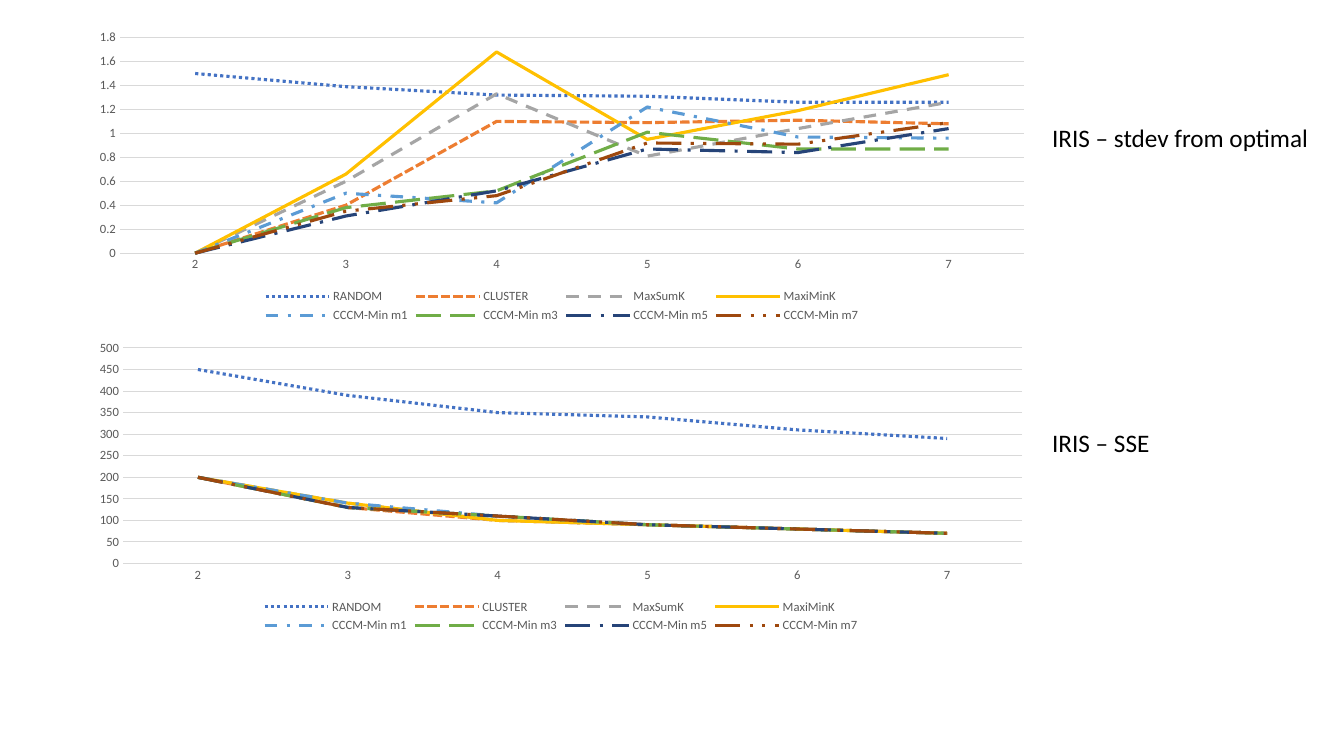
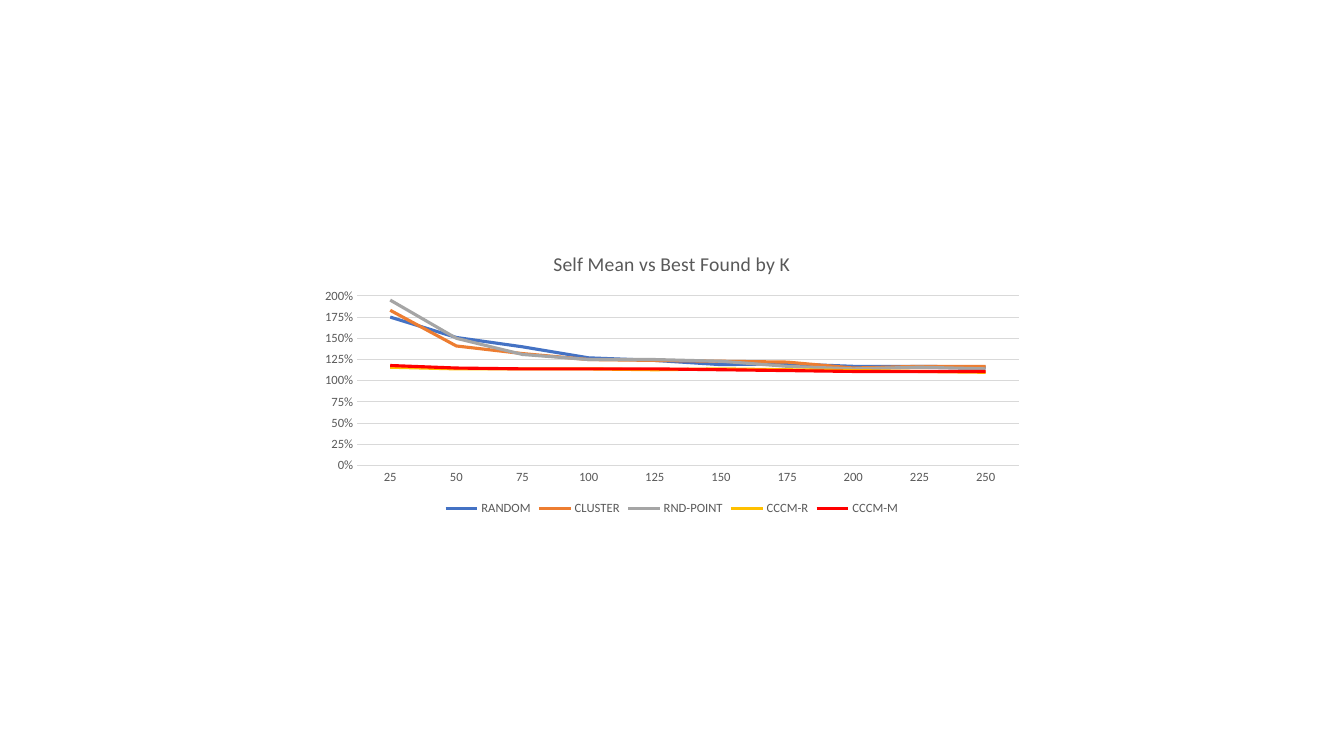
from dataclasses import dataclass
from typing import Optional

from pptx import Presentation
from pptx.chart.data import CategoryChartData
from pptx.dml.color import RGBColor
from pptx.enum.chart import XL_CHART_TYPE, XL_LEGEND_POSITION, XL_TICK_MARK
from pptx.enum.dml import MSO_LINE
from pptx.util import Pt

LINE_CHART = XL_CHART_TYPE.LINE
LEGEND_BOTTOM = XL_LEGEND_POSITION.BOTTOM
NO_TICKS = XL_TICK_MARK.NONE
SOLID = MSO_LINE.SOLID
ROUND_DOT = MSO_LINE.ROUND_DOT
SQUARE_DOT = MSO_LINE.SQUARE_DOT
DASH = MSO_LINE.DASH
DASH_DOT = MSO_LINE.DASH_DOT
LONG_DASH = MSO_LINE.LONG_DASH
LONG_DASH_DOT = MSO_LINE.LONG_DASH_DOT
DASH_DOT_DOT = MSO_LINE.DASH_DOT_DOT
FONT = "Calibri"
BLANK_LAYOUT = 6
COLORS = {
    "text": "000000", "label": "595959", "grid": "D9D9D9",
    "blue": "4472C4", "orange": "ED7D31", "gray": "A5A5A5", "gold": "FFC000",
    "sky": "5B9BD5", "green": "70AD47", "navy": "264478", "brown": "9E480E",
    "red": "FF0000",
}


@dataclass(frozen=True)
class Method:
    name: str
    color: str
    dash: MSO_LINE = SOLID


@dataclass(frozen=True)
class Box:
    left: float
    top: float
    width: float
    height: float

    def lengths(self) -> tuple:
        return Pt(self.left), Pt(self.top), Pt(self.width), Pt(self.height)


@dataclass(frozen=True)
class LinePlot:
    box: Box
    categories: list[str]
    methods: list[Method]
    values: list[list[float]]
    title: Optional[str] = None
    number_format: str = "General"
    maximum: Optional[float] = None
    step: Optional[float] = None


IRIS_METHODS = [
    Method("RANDOM", "blue", ROUND_DOT),
    Method("CLUSTER", "orange", SQUARE_DOT),
    Method("MaxSumK", "gray", DASH),
    Method("MaxiMinK", "gold"),
    Method("CCCM-Min m1", "sky", DASH_DOT),
    Method("CCCM-Min m3", "green", LONG_DASH),
    Method("CCCM-Min m5", "navy", LONG_DASH_DOT),
    Method("CCCM-Min m7", "brown", DASH_DOT_DOT),
]
IRIS_K = [str(k) for k in range(2, 8)]

STDEV_PLOT = LinePlot(Box(57.6, 17.3, 687.6, 216), IRIS_K, IRIS_METHODS, [
    [1.5, 1.39, 1.32, 1.31, 1.26, 1.26],
    [0, 0.4, 1.1, 1.09, 1.11, 1.08],
    [0, 0.6, 1.33, 0.81, 1.04, 1.26],
    [0, 0.66, 1.68, 0.95, 1.19, 1.49],
    [0, 0.5, 0.42, 1.22, 0.97, 0.96],
    [0, 0.38, 0.52, 1.01, 0.87, 0.87],
    [0, 0.31, 0.52, 0.87, 0.84, 1.04],
    [0, 0.35, 0.48, 0.92, 0.91, 1.09],
])
SSE_PLOT = LinePlot(Box(57.6, 239, 686.2, 216), IRIS_K, IRIS_METHODS, [
    [450, 390, 350, 340, 310, 290],
    [200, 130, 100, 90, 80, 70],
    [200, 140, 100, 90, 80, 70],
    [200, 140, 100, 90, 80, 70],
    [200, 140, 110, 90, 80, 70],
    [200, 130, 110, 90, 80, 70],
    [200, 130, 110, 90, 80, 70],
    [200, 130, 110, 90, 80, 70],
])
SELF_MEAN_PLOT = LinePlot(
    Box(221.8, 168.5, 516.2, 203),
    [str(k) for k in range(25, 251, 25)],
    [
        Method("RANDOM", "blue"),
        Method("CLUSTER", "orange"),
        Method("RND-POINT", "gray"),
        Method("CCCM-R", "gold"),
        Method("CCCM-M", "red"),
    ],
    [
        [1.75, 1.51, 1.4, 1.27, 1.24, 1.19, 1.2, 1.17, 1.17, 1.16],
        [1.83, 1.41, 1.32, 1.25, 1.24, 1.23, 1.22, 1.15, 1.17, 1.17],
        [1.95, 1.5, 1.31, 1.25, 1.25, 1.23, 1.17, 1.14, 1.16, 1.14],
        [1.16, 1.14, 1.14, 1.14, 1.13, 1.14, 1.13, 1.12, 1.11, 1.1],
        [1.18, 1.15, 1.14, 1.14, 1.14, 1.13, 1.12, 1.11, 1.11, 1.11],
    ],
    title="Self Mean vs Best Found by K",
    number_format="0%",
    maximum=2,
    step=0.25,
)


def rgb(color: str) -> RGBColor:
    return RGBColor.from_string(COLORS[color])


def style_font(font, size: float = 9, color: str = "label") -> None:
    font.name, font.size, font.bold = FONT, Pt(size), False
    font.color.rgb = rgb(color)


def style_line(line, color: str, width: float = 0.75) -> None:
    line.color.rgb = rgb(color)
    line.width = Pt(width)


def write_text(frame, text: str, *, size: float, color: str) -> None:
    run = frame.paragraphs[0].add_run()
    run.text = text
    style_font(run.font, size, color)


def add_caption(slide, text: str, box: Box) -> None:
    frame = slide.shapes.add_textbox(*box.lengths()).text_frame
    frame.word_wrap = False
    write_text(frame, text, size=18, color="text")


def style_axes(chart, plot: LinePlot) -> None:
    for axis in (chart.category_axis, chart.value_axis):
        axis.has_title = False
        axis.major_tick_mark = axis.minor_tick_mark = NO_TICKS
        style_font(axis.tick_labels.font)
    style_line(chart.category_axis.format.line, "grid")

    scale = chart.value_axis
    scale.format.line.fill.background()
    style_line(scale.major_gridlines.format.line, "grid")
    scale.minimum_scale = 0
    scale.maximum_scale = plot.maximum
    scale.major_unit = plot.step
    scale.tick_labels.number_format = plot.number_format
    scale.tick_labels.number_format_is_linked = False


def add_line_plot(slide, plot: LinePlot) -> None:
    data = CategoryChartData(number_format=plot.number_format)
    data.categories = plot.categories
    for method, values in zip(plot.methods, plot.values):
        data.add_series(method.name, values)
    chart = slide.shapes.add_chart(LINE_CHART, *plot.box.lengths(), data).chart
    style_font(chart.font, 10, "text")
    chart.plots[0].vary_by_categories = False

    chart.has_title = plot.title is not None
    if plot.title:
        write_text(chart.chart_title.text_frame, plot.title, size=14, color="label")
    chart.has_legend = True
    chart.legend.position = LEGEND_BOTTOM
    chart.legend.include_in_layout = False
    style_font(chart.legend.font)
    style_axes(chart, plot)

    for series, method in zip(chart.plots[0].series, plot.methods):
        series.smooth = False
        style_line(series.format.line, method.color, 2.25)
        series.format.line.dash_style = method.dash


def main() -> None:
    deck = Presentation()
    deck.slide_width, deck.slide_height = Pt(960), Pt(540)
    layout = deck.slide_layouts[BLANK_LAYOUT]

    iris = deck.slides.add_slide(layout)
    add_caption(iris, "IRIS – stdev from optimal", Box(744.5, 84.2, 199.4, 28.8))
    add_caption(iris, "IRIS – SSE", Box(744.5, 301.7, 85, 28.8))
    add_line_plot(iris, STDEV_PLOT)
    add_line_plot(iris, SSE_PLOT)

    self_mean = deck.slides.add_slide(layout)
    add_line_plot(self_mean, SELF_MEAN_PLOT)

    deck.save("out.pptx")


if __name__ == "__main__":
    main()
